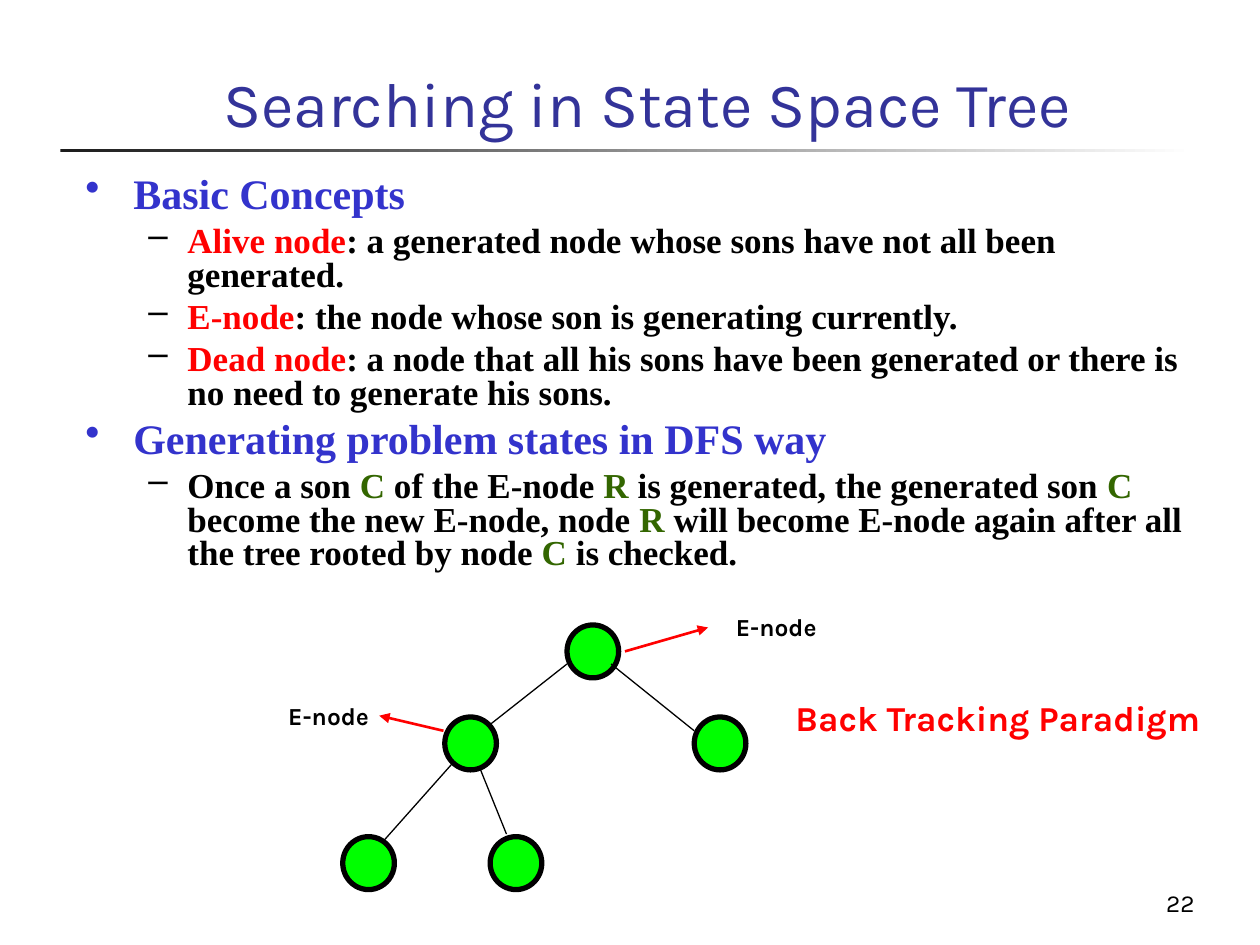
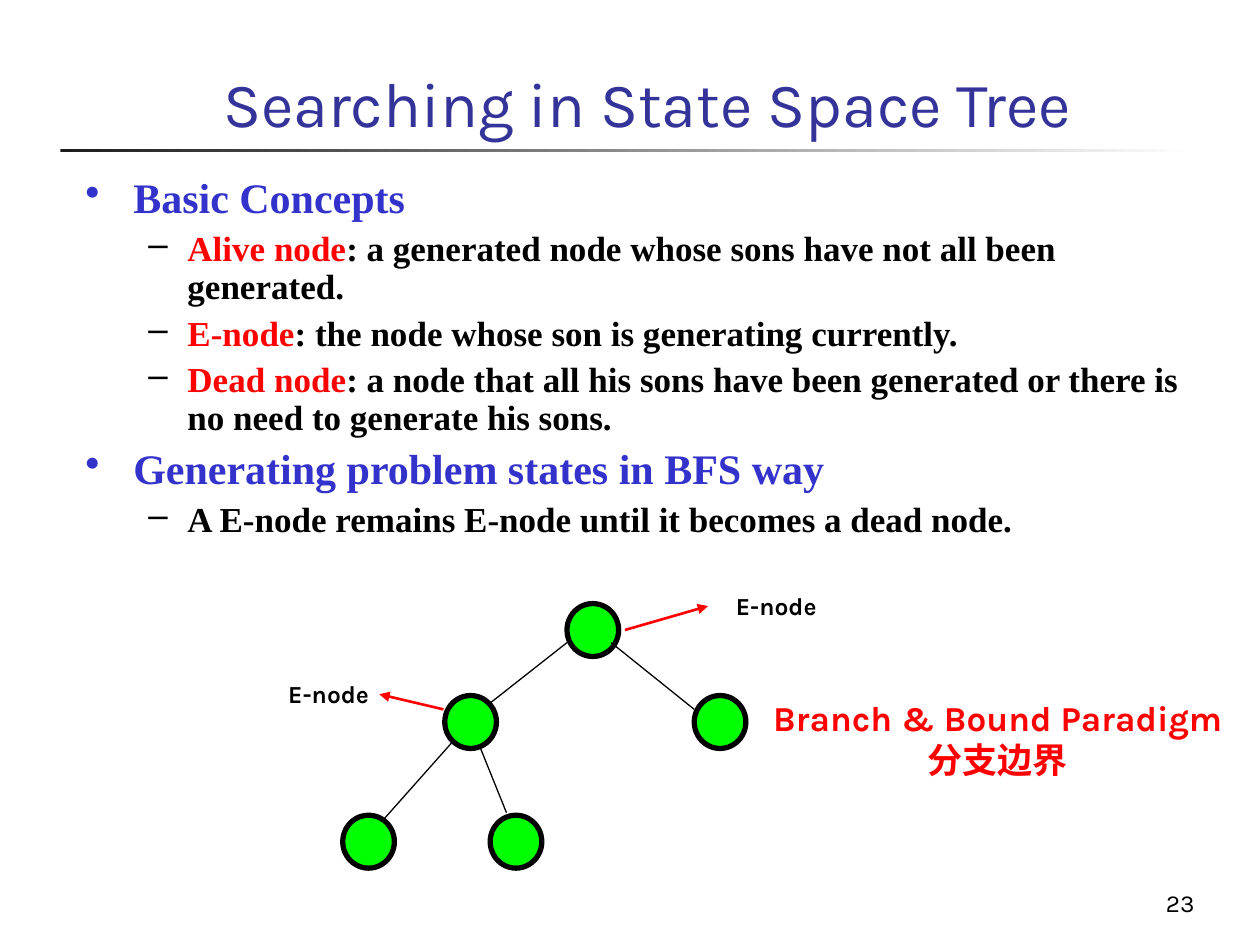
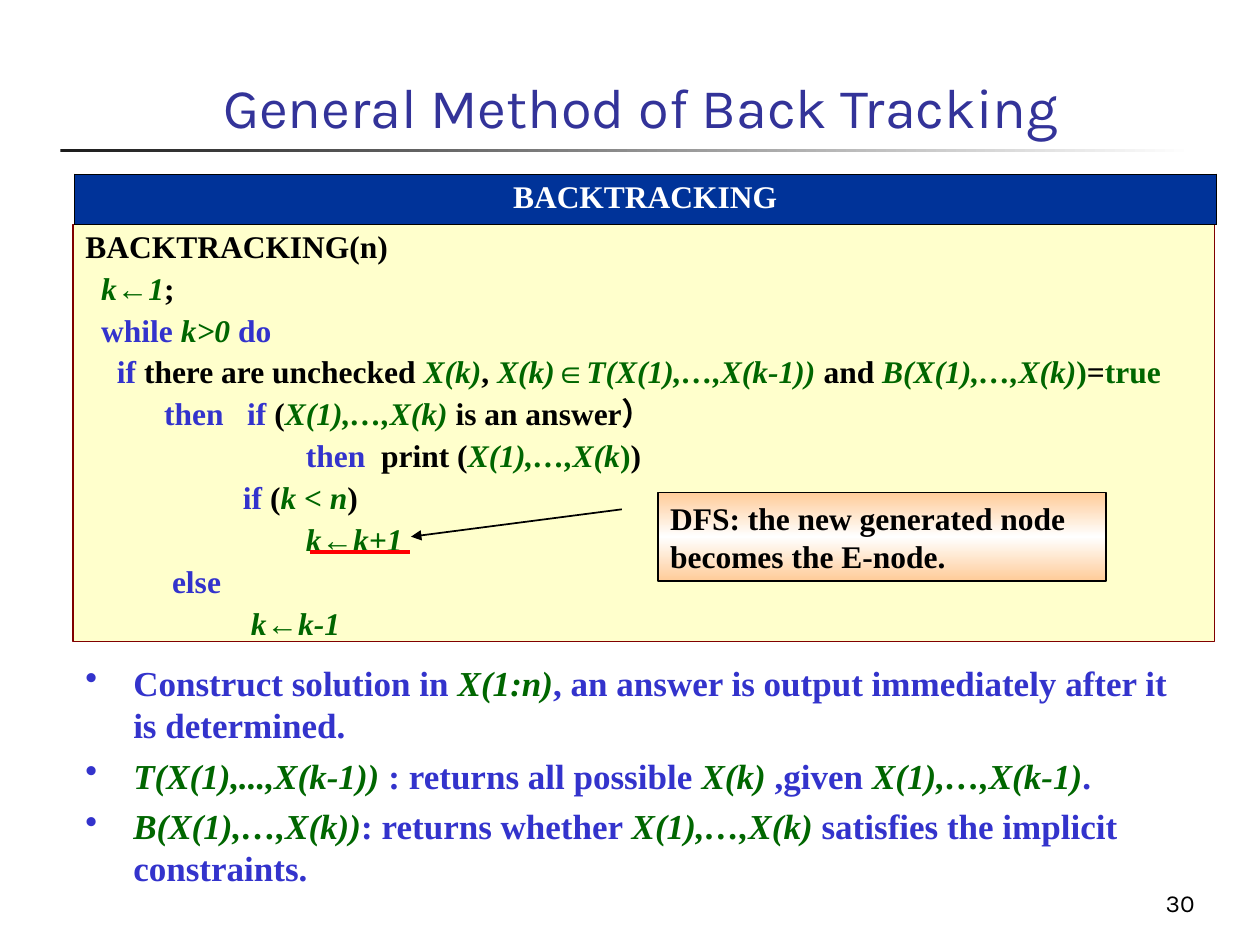
from collections import namedtuple

from lxml import etree
from pptx import Presentation
from pptx.dml.color import RGBColor
from pptx.enum.shapes import MSO_CONNECTOR, MSO_SHAPE
from pptx.enum.text import MSO_ANCHOR, MSO_AUTO_SIZE, PP_ALIGN
from pptx.oxml import parse_xml
from pptx.oxml.ns import nsdecls, qn
from pptx.util import Inches, Pt

RECT, OVAL, CALLOUT = MSO_SHAPE.RECTANGLE, MSO_SHAPE.OVAL, MSO_SHAPE.LINE_CALLOUT_1
STRAIGHT = MSO_CONNECTOR.STRAIGHT
LEFT, CENTER, RIGHT = PP_ALIGN.LEFT, PP_ALIGN.CENTER, PP_ALIGN.RIGHT
TOP, MIDDLE, BOTTOM = MSO_ANCHOR.TOP, MSO_ANCHOR.MIDDLE, MSO_ANCHOR.BOTTOM

BLACK = RGBColor(0x00, 0x00, 0x00)
WHITE = RGBColor(0xFF, 0xFF, 0xFF)
CHARCOAL = RGBColor(0x1C, 0x1C, 0x1C)
TITLE_BLUE = RGBColor(0x33, 0x33, 0x99)
BLUE = RGBColor(0x33, 0x33, 0xCC)
NAVY = RGBColor(0x00, 0x33, 0x99)
RED = RGBColor(0xFF, 0x00, 0x00)
MAROON = RGBColor(0x80, 0x00, 0x00)
LIME = RGBColor(0x00, 0xFF, 0x00)
OLIVE = RGBColor(0x33, 0x66, 0x00)
GREEN = RGBColor(0x00, 0x66, 0x00)
CREAM = RGBColor(0xFF, 0xFF, 0xCC)
PEACH = RGBColor(0xFF, 0xCC, 0x99)

SANS, SERIF, SYMBOL = "Karla", "Times New Roman", "Arial"
INSETS = (0.1, 0.05, 0.1, 0.05)

Ink = namedtuple("Ink", "color italic font", defaults=(False, SERIF))
PLAIN, KEY, TERM = Ink(BLACK), Ink(BLUE), Ink(RED)
NODE, MATH, UPRIGHT = Ink(OLIVE), Ink(GREEN, True), Ink(GREEN)
ARROW = Ink(GREEN, True, SYMBOL)
HEADER, LABEL, PARADIGM = Ink(WHITE), Ink(BLACK, False, SANS), Ink(RED, False, SANS)
TITLE = Ink(TITLE_BLUE, False, SANS)

Bullet = namedtuple("Bullet", "char color left hang size before")
HEAD = Bullet("•", BLUE, 0.38, 0.38, 24, 6)
SUB = Bullet("–", BLACK, 0.81, 0.31, 20, 5)
POINT = Bullet("•", BLUE, 0.38, 0.38, 20, 5)

CONCEPTS = [
    (HEAD, [("Basic Concepts", KEY)]),
    (SUB, [("Alive node", TERM),
           (": a generated node whose sons have not all been generated.", PLAIN)]),
    (SUB, [("E-node", TERM), (": the node whose son is generating currently.", PLAIN)]),
    (SUB, [("Dead node", TERM),
           (": a node that all his sons have been generated or there is "
            "no need to generate his sons.", PLAIN)]),
]

DFS = [
    (HEAD, [("Generating problem states in DFS way", KEY)]),
    (SUB, [("Once a son ", PLAIN), ("C", NODE), (" of the E-node ", PLAIN), ("R", NODE),
           (" is generated, the generated son ", PLAIN), ("C ", NODE),
           ("become the new E-node, node ", PLAIN), ("R", NODE),
           (" will become E-node again after all the tree rooted by node ", PLAIN),
           ("C", NODE), (" is checked.", PLAIN)]),
]

BFS = [
    (HEAD, [("Generating problem states in BFS way", KEY)]),
    (SUB, [("A E-node remains E-node until it becomes a dead node.", PLAIN)]),
]

CODE = [
    [("BACKTRACKING(n)", PLAIN)],
    [("  ", PLAIN), ("k", MATH), ("←", ARROW), ("1", MATH), (";", PLAIN)],
    [("  ", PLAIN), ("while ", KEY), ("k>0 ", MATH), ("do", KEY)],
    [("    ", PLAIN), ("if", KEY), (" there are unchecked ", PLAIN), ("X(k)", MATH),
     (", ", PLAIN), ("X(k)∈T(X(1),…,X(k-1)) ", MATH), ("and ", PLAIN),
     ("B(X(1),…,X(k)", MATH), (")", UPRIGHT), ("=", PLAIN), ("true", UPRIGHT)],
    [("          ", PLAIN), ("then   if", KEY), (" (", PLAIN), ("X(1),…,X(k) ", MATH),
     ("is an answer）", PLAIN)],
    [("                            ", PLAIN), ("then", KEY), ("  print (", PLAIN),
     ("X(1),…,X(k", MATH), (")", UPRIGHT), (")", PLAIN)],
    [("                    ", PLAIN), ("if", KEY), (" (", PLAIN), ("k < n", MATH),
     (")", PLAIN)],
    [("\t            ", PLAIN), ("k", MATH), ("←", ARROW), ("k+1", MATH)],
    [("           ", PLAIN), ("else", KEY)],
    [("\t     ", PLAIN), ("k", MATH), ("←", ARROW), ("k-1", MATH)],
]

POINTS = [
    (POINT, [("Construct solution in ", KEY), ("X(1:n)", MATH),
             (", an answer is output immediately after it is determined.", KEY)]),
    (POINT, [("T(X(1),...,X(k-1)) ", MATH), (": returns all possible ", KEY),
             ("X(k)", MATH), (" ,given ", KEY), ("X(1),…,X(k-1)", MATH), (".", KEY)]),
    (POINT, [("B(X(1),…,X(k))", MATH), (": returns whether ", KEY),
             ("X(1),…,X(k)", MATH), (" satisfies the implicit constraints.", KEY)]),
]

TREE_NODES = [(4.5, 0), (5.51, 0.73), (3.53, 0.73), (2.72, 1.68), (3.89, 1.68)]
TREE_EDGES = [(4.5, 0.31, 3.89, 0.79), (4.85, 0.31, 5.51, 0.84),
              (3.59, 1.1, 3.03, 1.73), (3.81, 1.14, 4.02, 1.66)]
TREE_ARROWS = [(4.96, 0.21, 5.62, 0.02), (3.52, 0.84, 3.01, 0.72)]
TREE_LABELS = [(5.71, -0.1, CENTER, (0, 0, 0.1, 0.05)), (1.93, 0.6, RIGHT, (0, 0, 0, 0.05))]


class Deck:
    def __init__(self):
        self.prs = Presentation()
        self.prs.slide_width, self.prs.slide_height = Inches(10), Inches(7.5)
        self.s = None

    def slide(self, title, number, size=36):
        self.s = self.prs.slides.add_slide(self.prs.slide_layouts[5])
        rule = self.shape(RECT, 0.48, 1.18, 9, 0.03)
        self.gradient(rule, [CHARCOAL, WHITE], 0)
        sp = self.s.shapes.title
        sp.left, sp.top, sp.width, sp.height = map(Inches, (1.67, 0.17, 7.86, 0.99))
        self.frame(sp.text_frame, anchor=BOTTOM)
        self.runs(sp.text_frame.paragraphs[0], [(title, TITLE)], size, bold=False)
        self.text(7.5, 6.83, 2.08, 0.5, [[(number, LABEL)]], 14, RIGHT, BOTTOM, bold=False)

    def frame(self, tf, insets=INSETS, anchor=TOP):
        tf.word_wrap = True
        tf.auto_size = MSO_AUTO_SIZE.NONE
        tf.vertical_anchor = anchor
        tf.margin_left, tf.margin_top, tf.margin_right, tf.margin_bottom = map(Inches, insets)

    def runs(self, p, parts, size, align=LEFT, bold=True):
        p.alignment = align
        for text, ink in parts:
            r = p.add_run()
            r.text = text
            r.font.name, r.font.size = ink.font, Pt(size)
            r.font.bold, r.font.italic = bold, ink.italic
            r.font.color.rgb = ink.color

    def paragraphs(self, tf, lines):
        for i, parts in enumerate(lines):
            yield i, tf.paragraphs[0] if i == 0 else tf.add_paragraph(), parts

    def text(self, x, y, w, h, lines, size, align=LEFT, anchor=TOP, insets=INSETS, bold=True):
        tf = self.s.shapes.add_textbox(*map(Inches, (x, y, w, h))).text_frame
        self.frame(tf, insets, anchor)
        for _, p, parts in self.paragraphs(tf, lines):
            self.runs(p, parts, size, align, bold)

    def bullets(self, y, h, items, spacing=1.0):
        tf = self.s.shapes.add_textbox(*map(Inches, (0.58, y, 9, h))).text_frame
        self.frame(tf)
        for i, p, (bullet, parts) in self.paragraphs(tf, items):
            pPr = p._p.get_or_add_pPr()
            pPr.set("marL", str(Inches(bullet.left)))
            pPr.set("indent", str(-Inches(bullet.hang)))
            color = etree.SubElement(pPr, qn("a:buClr"))
            etree.SubElement(color, qn("a:srgbClr"), val=str(bullet.color))
            etree.SubElement(pPr, qn("a:buChar"), char=bullet.char)
            p.line_spacing = spacing
            p.space_before = Pt(bullet.before if i else 0)
            self.runs(p, parts, bullet.size)

    def code(self, x, y, w, h, lines):
        sp = self.shape(RECT, x, y, w, h, CREAM, MAROON, 0.75)
        self.frame(sp.text_frame, (0.1, 0.11, 0.1, 0.05), MIDDLE)
        for i, p, parts in self.paragraphs(sp.text_frame, lines):
            tabs = etree.SubElement(p._p.get_or_add_pPr(), qn("a:tabLst"))
            etree.SubElement(tabs, qn("a:tab"), pos=str(Inches(1)), algn="l")
            p.line_spacing = 0.9
            p.space_before = Pt(4.5 if i else 0)
            self.runs(p, parts, 18)

    def shape(self, kind, x, y, w, h, fill=None, line=None, weight=1):
        sp = self.s.shapes.add_shape(kind, *map(Inches, (x, y, w, h)))
        sp.shadow.inherit = False
        if fill is not None:
            sp.fill.solid()
            sp.fill.fore_color.rgb = fill
        if line is None:
            sp.line.fill.background()
        else:
            sp.line.color.rgb, sp.line.width = line, Pt(weight)
        return sp

    def gradient(self, sp, colors, angle):
        step = 100000 // (len(colors) - 1)
        stops = "".join(f'<a:gs pos="{i * step}"><a:srgbClr val="{c}"/></a:gs>'
                        for i, c in enumerate(colors))
        fill = parse_xml(f'<a:gradFill {nsdecls("a")}><a:gsLst>{stops}</a:gsLst>'
                         f'<a:lin ang="{angle * 60000}" scaled="0"/></a:gradFill>')
        sp._element.spPr.find(qn("a:prstGeom")).addnext(fill)

    def arrowhead(self, sp):
        etree.SubElement(sp.line._get_or_add_ln(), qn("a:tailEnd"), type="triangle")

    def line(self, x1, y1, x2, y2, color=BLACK, weight=0.75, arrow=False):
        c = self.s.shapes.add_connector(STRAIGHT, *map(Inches, (x1, y1, x2, y2)))
        c.line.color.rgb, c.line.width = color, Pt(weight)
        if arrow:
            self.arrowhead(c)
        etree.SubElement(c._element.spPr, qn("a:effectLst"))

    def callout(self, x, y, w, h, parts, leader):
        sp = self.shape(CALLOUT, x, y, w, h, line=BLACK)
        self.gradient(sp, [PEACH, WHITE, PEACH], 90)
        for i, value in enumerate(leader):
            sp.adjustments[i] = value
        self.arrowhead(sp)
        self.frame(sp.text_frame)
        self.runs(sp.text_frame.paragraphs[0], parts, 18)

    def header(self, x, y, w, h, parts):
        table = self.s.shapes.add_table(1, 1, *map(Inches, (x, y, w, h))).table
        cell = table.cell(0, 0)
        tcPr = cell._tc.get_or_add_tcPr()
        for side in ("lnL", "lnR", "lnT", "lnB"):
            ln = etree.SubElement(tcPr, qn(f"a:{side}"), w=str(Pt(0.45)))
            fill = etree.SubElement(ln, qn("a:solidFill"))
            etree.SubElement(fill, qn("a:srgbClr"), val=str(BLACK))
        cell.fill.solid()
        cell.fill.fore_color.rgb = NAVY
        self.runs(cell.text_frame.paragraphs[0], parts, 18, CENTER)

    def tree(self, top):
        for x, y in TREE_NODES:
            self.shape(OVAL, x, top + y, 0.41, 0.42, LIME, BLACK, 3)
        for x1, y1, x2, y2 in TREE_EDGES:
            self.line(x1, top + y1, x2, top + y2)
        for x1, y1, x2, y2 in TREE_ARROWS:
            self.line(x1, top + y1, x2, top + y2, RED, 1.5, arrow=True)
        for x, y, align, insets in TREE_LABELS:
            self.text(x, top + y, 1, 0.29, [[("E-node", LABEL)]], 14, align, insets=insets)

    def search(self, number, ways, spacing, top, paradigm, x, w, h):
        self.slide("Searching in State Space Tree", number)
        self.bullets(1.36, 3.44, CONCEPTS + ways, spacing)
        self.tree(top)
        self.text(x, 5.48, w, h, [[(line, PARADIGM)] for line in paradigm], 20, CENTER)


def main():
    deck = Deck()
    deck.search("22", DFS, 0.8, 4.96, ["Back Tracking Paradigm"], 6.13, 3.58, 0.44)
    deck.search("23", BFS, 0.9, 4.79, ["Branch & Bound Paradigm", "分支边界"], 5.99, 3.86, 0.77)

    deck.slide("General Method of Back Tracking", "30", 32)
    deck.code(0.58, 1.78, 9.06, 3.31, CODE)
    deck.header(0.59, 1.38, 9.06, 0.4, [("BACKTRACKING", HEADER)])
    deck.bullets(5.2, 1.97, POINTS)
    deck.callout(5.22, 3.91, 3.56, 0.7,
                 [("DFS: the new generated node becomes the E-node.", PLAIN)],
                 (0.19, -0.08, 0.5, -0.55))
    deck.line(2.46, 4.38, 3.25, 4.38, RED, 2.25)
    deck.prs.save("out.pptx")


if __name__ == "__main__":
    main()
